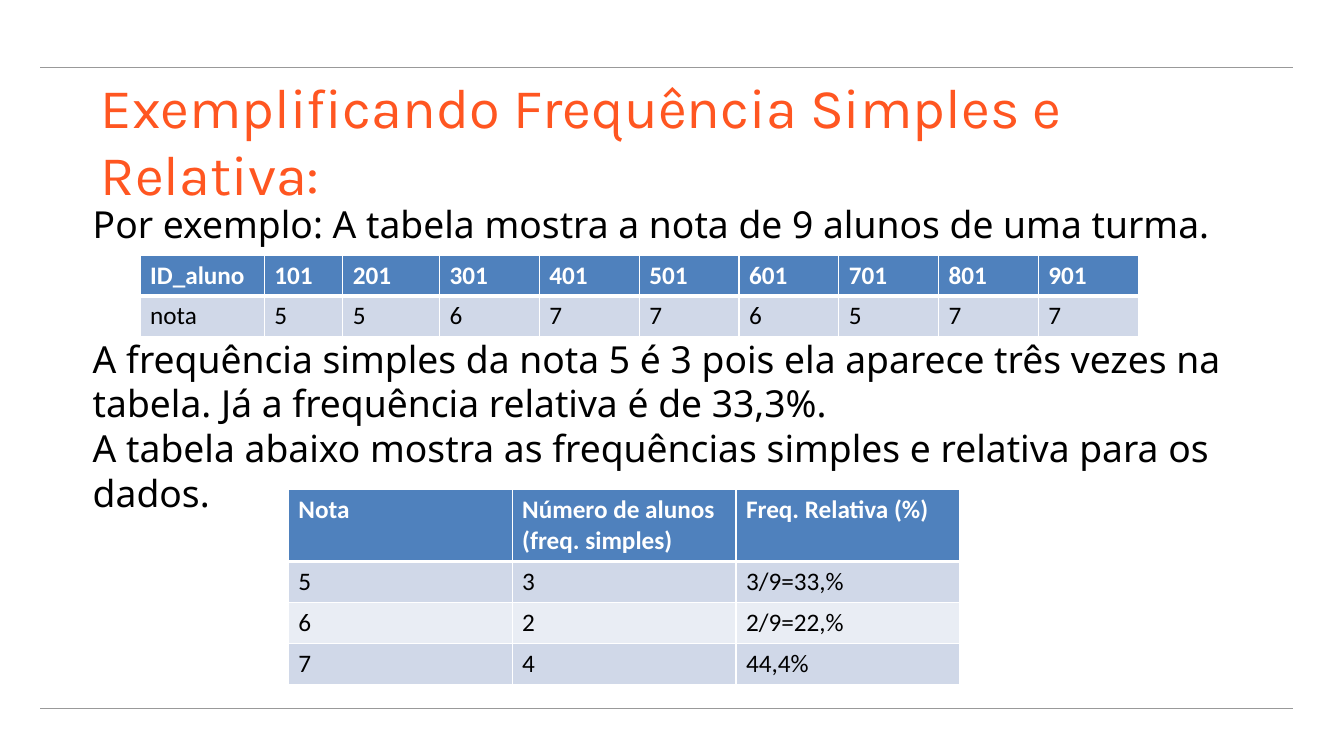
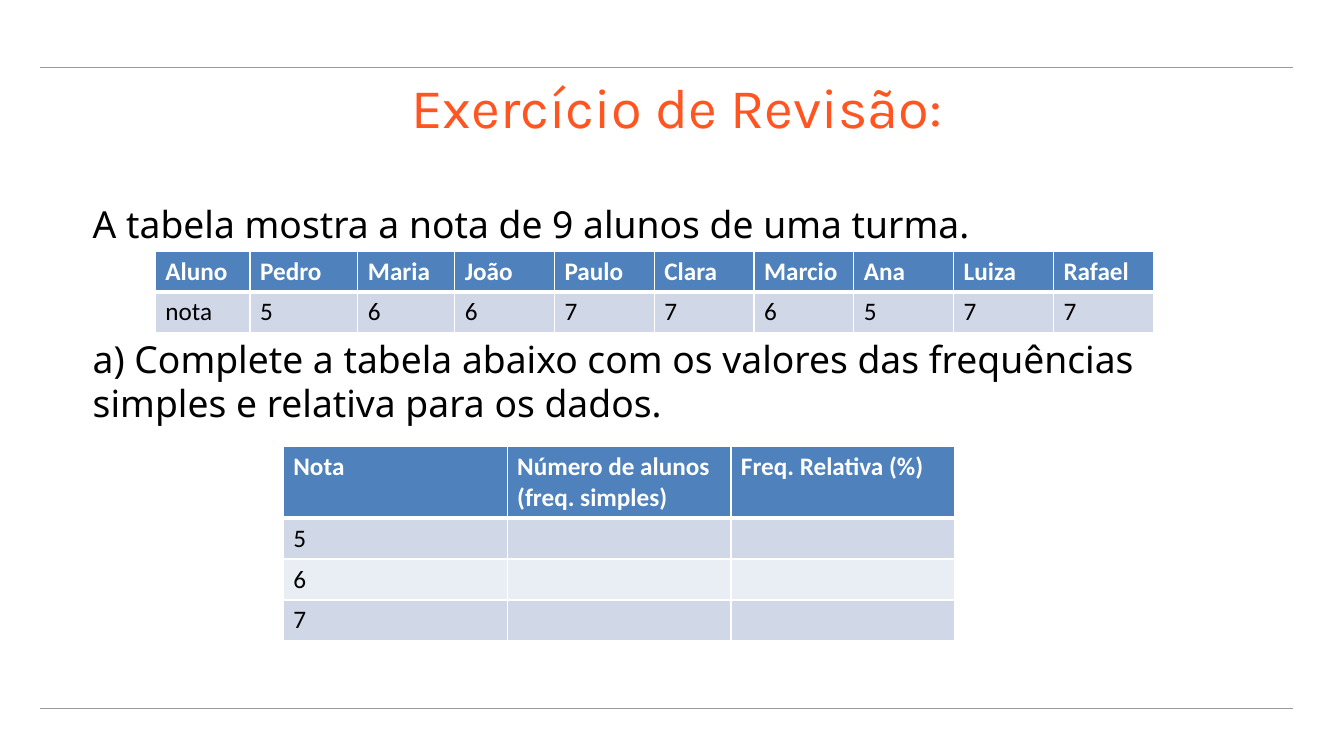
"""Build two slides on simple and relative frequency tables."""
import pptx
import pptx.util
import pptx.dml.color
import pptx.enum.shapes
import pptx.enum.text
import pptx.oxml
import pptx.oxml.ns
from pptx.util import Inches, Pt

ORANGE, BLACK, WHITE, GREY = "FF5621", "000000", "FFFFFF", "999999"
HEADER, BANDS = "4F81BD", ("D0D8E8", "E9EDF4")
TITLE_FONT, BODY_FONT, TABLE_FONT = "Karla", "Noto Sans", "Calibri"
RULE_LEFT, RULE_RIGHT, RULE_TOPS = 0.4, 12.82, (0.67, 7.03)
ROW_H, TALL_ROW_H = 0.4, 0.69
TABLE_GAP = 64
FREQ_HEAD = ["Nota", "Número de alunos (freq. simples)", "Freq. Relativa (%)"]
FREQ_COLS = [2.22] * 3

SLIDES = [
    {
        "title": "Exemplificando Frequência Simples e Relativa:",
        "title_box": (1, 0.72, 11.74, 1.34),
        "body": [
            "Por exemplo: A tabela mostra a nota de 9 alunos de uma turma.",
            "A frequência simples da nota 5 é 3 pois ela aparece três vezes na "
            "tabela. Já a frequência relativa é de 33,3%.",
            "A tabela abaixo mostra as frequências simples e relativa para os dados.",
        ],
        "freq_at": (2.86, 4.86),
        "freq": [
            FREQ_HEAD,
            ["5", "3", "3/9=33,%"],
            ["6", "2", "2/9=22,%"],
            ["7", "4", "44,4%"],
        ],
        "grades_at": (1.39, 2.53),
        "grades_cols": [1.23, 0.78, 0.96] + [0.99] * 7,
        "grades": [
            ["ID_aluno", "101", "201", "301", "401", "501", "601", "701", "801", "901"],
            ["nota", "5", "5", "6", "7", "7", "6", "5", "7", "7"],
        ],
    },
    {
        "title": "Exercício de Revisão:",
        "title_box": (4.08, 0.72, 6.04, 1.34),
        "body": [
            "A tabela mostra a nota de 9 alunos de uma turma.",
            "a) Complete a tabela abaixo com os valores das frequências simples "
            "e relativa para os dados.",
        ],
        "freq_at": (2.81, 4.43),
        "freq": [FREQ_HEAD, ["5", "", ""], ["6", "", ""], ["7", "", ""]],
        "grades_at": (1.54, 2.49),
        "grades_cols": [0.94, 1.07, 0.96] + [0.99] * 7,
        "grades": [
            ["Aluno", "Pedro", "Maria", "João", "Paulo", "Clara", "Marcio", "Ana",
             "Luiza", "Rafael"],
            ["nota", "5", "6", "6", "7", "7", "6", "5", "7", "7"],
        ],
    },
]


def rgb(color):
    return pptx.dml.color.RGBColor.from_string(color)


def set_font(p, name, size, color, bold=False):
    p.font.name, p.font.size, p.font.bold = name, Pt(size), bold
    p.font.color.rgb = rgb(color)


def set_frame(tf):
    tf.word_wrap = True
    tf.vertical_anchor = pptx.enum.text.MSO_ANCHOR.TOP
    tf.auto_size = pptx.enum.text.MSO_AUTO_SIZE.NONE
    tf.margin_left = tf.margin_top = tf.margin_right = tf.margin_bottom = 0


def add_rules(s, layout):
    for top in RULE_TOPS:
        rule = s.shapes.add_connector(
            pptx.enum.shapes.MSO_CONNECTOR.STRAIGHT,
            Inches(RULE_LEFT), Inches(top), Inches(RULE_RIGHT), Inches(top))
        rule.line.color.rgb = rgb(GREY)
        rule.line.width = Pt(0.74)
        props = rule.element.find(pptx.oxml.ns.qn("p:spPr"))
        props.append(pptx.oxml.parse_xml(
            f'<a:effectLst {pptx.oxml.ns.nsdecls("a")}/>'))
        layout.shapes.element.append(rule.element)


def add_title(s, text, box):
    title = s.shapes.title
    title.left, title.top, title.width, title.height = map(Inches, box)
    tf = title.text_frame
    set_frame(tf)
    tf.text = text
    p = tf.paragraphs[0]
    p.alignment = pptx.enum.text.PP_ALIGN.LEFT
    set_font(p, TITLE_FONT, 40, ORANGE)


def add_body(s, texts):
    box = s.shapes.add_textbox(Inches(0.92), Inches(2), Inches(11.5), Inches(5.34))
    tf = box.text_frame
    set_frame(tf)
    for i, text in enumerate(texts):
        p = tf.add_paragraph() if i else tf.paragraphs[0]
        p.text = text
        p.line_spacing = 1.0
        p.space_before = Pt(TABLE_GAP if i == 1 else 0)
        set_font(p, BODY_FONT, 26.6, BLACK)


def set_borders(cell, widths):
    for side, width in widths.items():
        cell._tc.get_or_add_tcPr().append(pptx.oxml.parse_xml(
            f'<a:ln{side} {pptx.oxml.ns.nsdecls("a")} w="{Pt(width)}"><a:solidFill>'
            f'<a:srgbClr val="{WHITE}"/></a:solidFill></a:ln{side}>'))


def add_table(s, rows, at, cols, head_h):
    heights = [head_h] + [ROW_H] * (len(rows) - 1)
    table = s.shapes.add_table(
        len(rows), len(cols), *map(Inches, (*at, sum(cols), sum(heights)))).table
    for column, width in zip(table.columns, cols):
        column.width = Inches(width)
    for r, (values, height) in enumerate(zip(rows, heights)):
        table.rows[r].height = Inches(height)
        head = r == 0
        for c, value in enumerate(values):
            cell = table.cell(r, c)
            set_borders(cell, {"L": 1, "R": 1, "T": 3 if r == 1 else 1,
                               "B": 3 if head else 1})
            cell.fill.solid()
            cell.fill.fore_color.rgb = rgb(HEADER if head else BANDS[(r - 1) % 2])
            cell.text = value
            set_font(cell.text_frame.paragraphs[0], TABLE_FONT, 18,
                     WHITE if head else BLACK, head)


prs = pptx.Presentation()
prs.slide_width, prs.slide_height = Inches(13.33), Inches(7.5)
layout = prs.slide_layouts[5]
for i, data in enumerate(SLIDES):
    s = prs.slides.add_slide(layout)
    if i == 0:
        add_rules(s, layout)
    add_title(s, data["title"], data["title_box"])
    add_body(s, data["body"])
    add_table(s, data["freq"], data["freq_at"], FREQ_COLS, TALL_ROW_H)
    add_table(s, data["grades"], data["grades_at"], data["grades_cols"], ROW_H)
prs.save("out.pptx")
